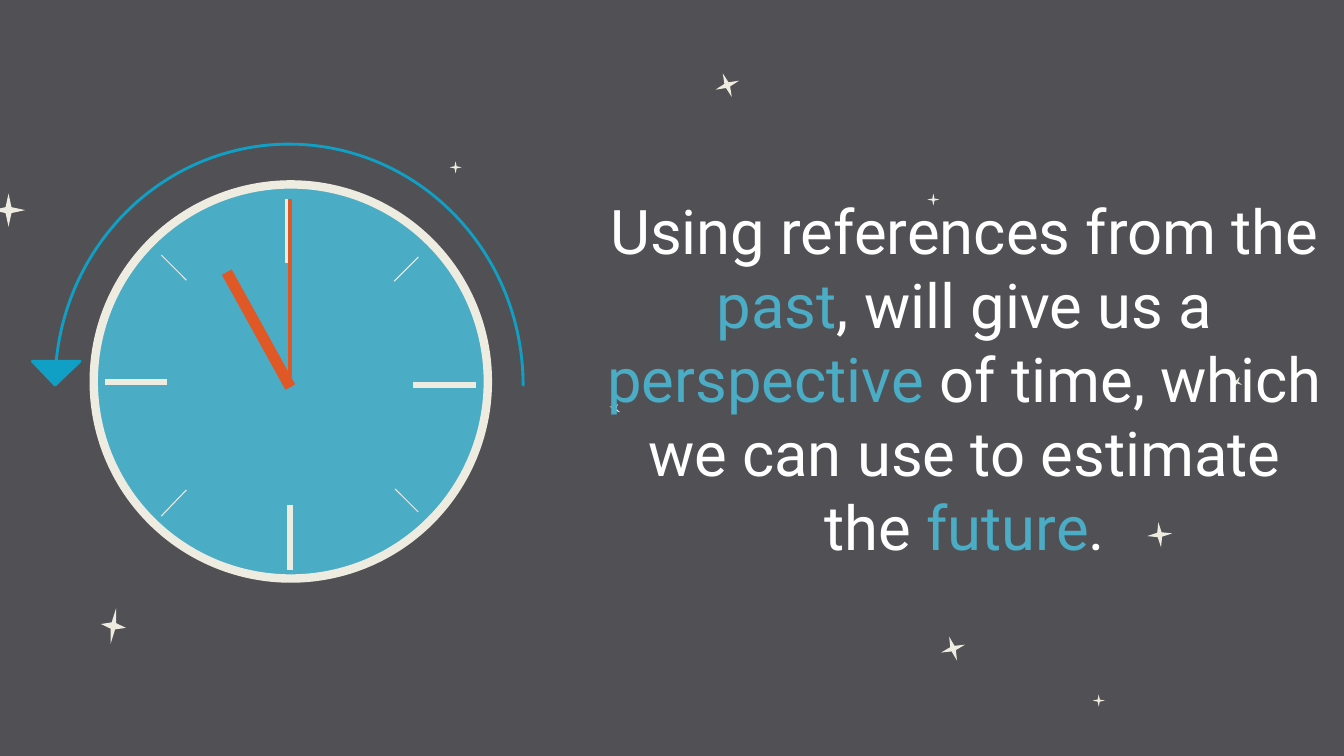
from lxml import etree
from pptx import Presentation
from pptx.dml.color import RGBColor
from pptx.enum.shapes import MSO_CONNECTOR, MSO_SHAPE
from pptx.enum.text import MSO_ANCHOR, MSO_AUTO_SIZE, PP_ALIGN
from pptx.oxml.ns import qn
from pptx.util import Pt

STAR = MSO_SHAPE.STAR_4_POINT
OVAL = MSO_SHAPE.OVAL
CURVED_ARROW = MSO_SHAPE.CURVED_DOWN_ARROW
STRAIGHT = MSO_CONNECTOR.STRAIGHT
MIDDLE = MSO_ANCHOR.MIDDLE
NO_FIT = MSO_AUTO_SIZE.NONE
CENTER = PP_ALIGN.CENTER
TITLE_ONLY = 5

COLORS = {
    "night": "515155",
    "cream": "EEECE1",
    "teal": "4BACC6",
    "hand": "E05826",
    "arrow": "10A0C5",
    "text": "FFFFFF",
}
TITLE_FRAME = {
    "margin_left": Pt(14.4),
    "margin_right": Pt(14.4),
    "margin_top": Pt(3.6),
    "margin_bottom": Pt(3.6),
    "vertical_anchor": MIDDLE,
    "word_wrap": True,
    "auto_size": NO_FIT,
}
TITLE_FONT = {"name": "Roboto", "size": Pt(44)}

STARS = [
    (819.36, 372.96, 18, 18, 353.9),
    (72, 434.16, 18, 25.92, 8.8),
    (434.88, 288, 8.64, 8.64, 300),
    (321.12, 115.2, 8.64, 8.64, 0),
    (780.48, 496.08, 8.64, 8.64, 0),
    (662.4, 138.24, 8.64, 8.64, 0),
    (-5.76, 138.24, 23.76, 23.76, 0),
    (671.76, 454.32, 18, 18, 71.8),
    (879.12, 268.56, 8.64, 8.64, 300),
    (510.48, 51.84, 18, 18, 339.2),
]
QUARTER_MARKS = [
    (205.92, 141.84, 205.92, 187.92),
    (207.36, 360.72, 207.36, 406.8),
    (119.52, 272.88, 74.88, 272.88),
    (339.84, 275.04, 295.2, 275.04),
]
DIAGONAL_MARKS = [
    (298.8, 183.6, 281.52, 200.88),
    (115.2, 368.64, 133.2, 349.92),
    (298.8, 365.76, 282.24, 349.2),
    (115.2, 182.16, 133.2, 200.16),
]
CLOCK_CENTER = (207.36, 276.48)
HANDS = [(207.36, 141.84, 3), (162, 194.4, 8)]
MESSAGE = [
    ("Using references from the ", "text"),
    ("past", "teal"),
    (", will give us a ", "text"),
    ("perspective ", "teal"),
    ("of time, which we can use to estimate the ", "text"),
    ("future", "teal"),
    (".", "text"),
]


class SlideBuilder:
    def __init__(self, slide, colors):
        self.slide = slide
        self.shapes = slide.shapes
        self.colors = colors

    def color(self, name):
        return RGBColor.from_string(self.colors[name])

    def apply(self, target, values):
        for name, value in values.items():
            setattr(target, name, value)

    def background(self, name):
        fill = self.slide.background.fill
        fill.solid()
        fill.fore_color.rgb = self.color(name)

    def group(self):
        self.shapes = self.slide.shapes.add_group_shape().shapes

    def end_group(self):
        self.shapes = self.slide.shapes

    def shape(self, kind, box, fill, line=None, width=0, rotation=0):
        sp = self.shapes.add_shape(kind, *map(Pt, box))
        sp.shadow.inherit = False
        sp.rotation = rotation
        sp.fill.solid()
        sp.fill.fore_color.rgb = self.color(fill)
        if line:
            sp.line.color.rgb = self.color(line)
            sp.line.width = Pt(width)
        else:
            sp.line.fill.background()
        return sp

    def line(self, ends, name, width):
        cxn = self.shapes.add_connector(STRAIGHT, *map(Pt, ends))
        cxn.line.color.rgb = self.color(name)
        cxn.line.width = Pt(width)
        etree.SubElement(cxn._element.spPr, qn("a:effectLst"))

    def turning_arrow(self, box, name, width, adjustments):
        sp = self.shape(CURVED_ARROW, box, name, name, width)
        for i, value in enumerate(adjustments):
            sp.adjustments[i] = value
        sp._element.spPr.find(qn("a:xfrm")).set("flipH", "1")

    def title(self, box, runs):
        sp = self.slide.shapes.title
        self.apply(sp, dict(zip(("left", "top", "width", "height"), map(Pt, box))))
        tf = sp.text_frame
        self.apply(tf, TITLE_FRAME)
        p = tf.paragraphs[0]
        p.alignment = CENTER
        for text, name in runs:
            r = p.add_run()
            r.text = text
            self.apply(r.font, TITLE_FONT)
            r.font.color.rgb = self.color(name)
        self.slide.shapes._spTree.append(sp._element)


def main():
    prs = Presentation()
    prs.slide_width, prs.slide_height = Pt(960), Pt(540)
    s = SlideBuilder(prs.slides.add_slide(prs.slide_layouts[TITLE_ONLY]), COLORS)
    s.background("night")

    for *box, rotation in STARS:
        s.shape(STAR, box, "cream", rotation=rotation)
    s.title((418.32, 0, 541.68, 540), MESSAGE)

    s.group()
    s.shape(STAR, (202.32, 272.88, 7.2, 7.2), "cream")
    s.shape(OVAL, (66.96, 131.76, 281.52, 281.52), "teal", "cream", 6)
    for marks, width in ((QUARTER_MARKS, 4.25), (DIAGONAL_MARKS, 0.75)):
        for ends in marks:
            s.line(ends, "cream", width)
    for x, y, width in HANDS:
        s.line((*CLOCK_CENTER, x, y), "hand", width)
    s.end_group()

    s.turning_arrow((22.32, 102.96, 351.36, 172.08), "arrow", 2, (0, 0.198, 0.099))
    prs.save("out.pptx")


if __name__ == "__main__":
    main()
